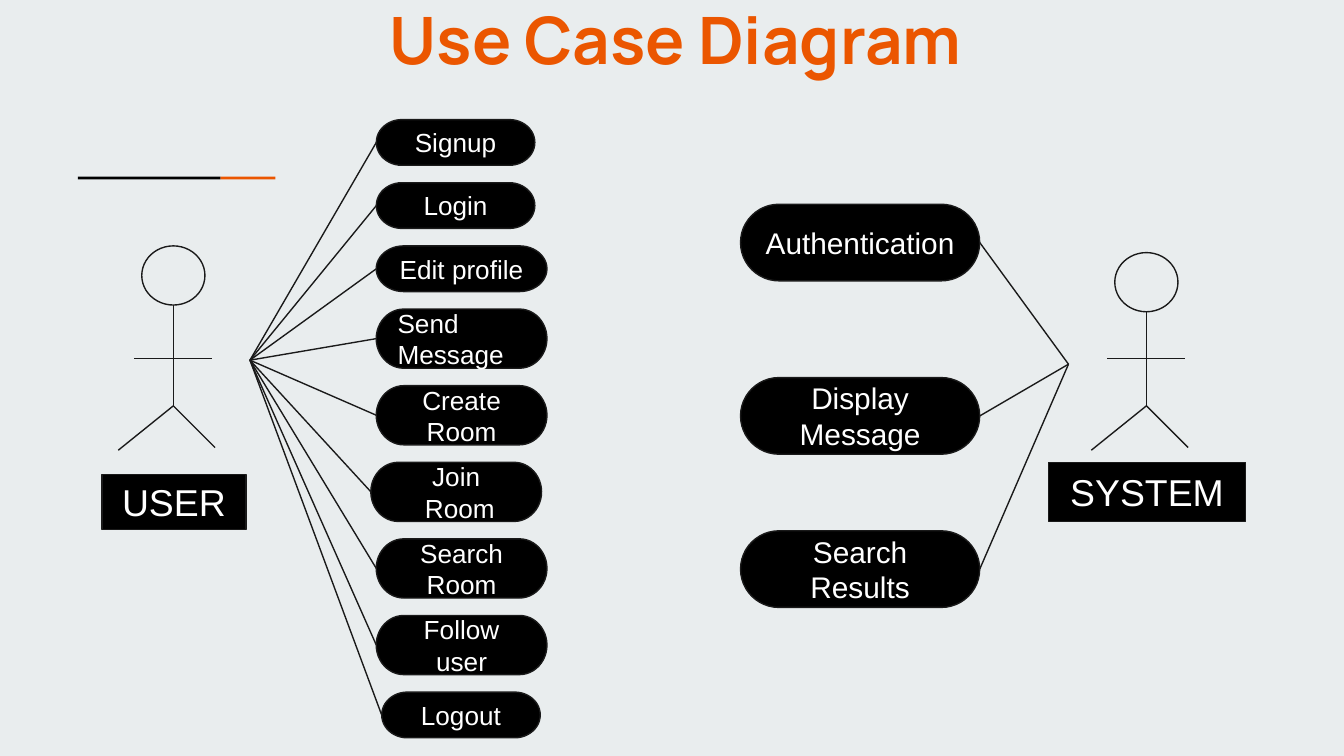
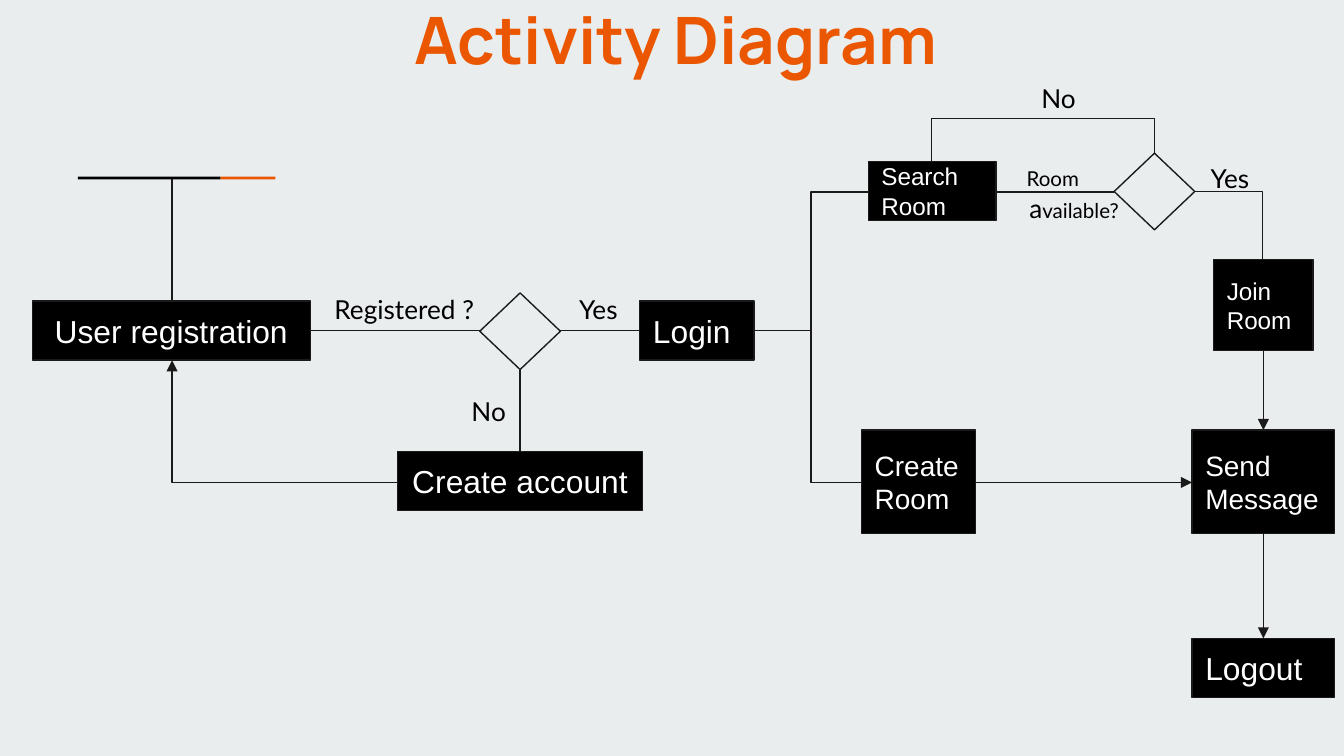
from pptx import Presentation
from pptx.dml.color import RGBColor
from pptx.enum.shapes import MSO_CONNECTOR as LINK, MSO_SHAPE as KIND
from pptx.enum.text import MSO_ANCHOR, PP_ALIGN
from pptx.oxml.ns import qn
from pptx.util import Inches, Pt
from lxml.etree import SubElement

# Grid: 1000 columns across the slide, square cells
WIDE, HIGH = Inches(10), Inches(5.625)
COLS = 1000
INK = {"paper": "E9EDEE", "accent": "EB5600", "black": "000000",
       "edge": "1A1A1A", "white": "FFFFFF"}
PAD = 10


def cells(*counts):
    return [round(n * WIDE / COLS) for n in counts]


def hue(name):
    return RGBColor.from_string(INK[name])


# --- Basic elements ---
def write(shape, paras, size, font, color, align=PP_ALIGN.LEFT,
          anchor=MSO_ANCHOR.MIDDLE, side=PAD, bold=False):
    """Each paragraph is a string or a list of (string, size) runs."""
    frame = shape.text_frame
    frame.word_wrap = True
    frame.vertical_anchor = anchor
    frame.margin_left, frame.margin_right = cells(side, side)
    frame.margin_top, frame.margin_bottom = cells(PAD, PAD)
    for i, runs in enumerate(paras):
        para = frame.paragraphs[0] if i == 0 else frame.add_paragraph()
        para.alignment = align
        for words, points in ([(runs, size)] if isinstance(runs, str) else runs):
            run = para.add_run()
            run.text = words
            run.font.size = Pt(points)
            run.font.name = font
            run.font.bold = bold
            run.font.color.rgb = hue(color)


def block(slide, kind, at, fill, edge="edge"):
    shape = slide.shapes.add_shape(kind, *cells(*at))
    shape.shadow.inherit = False
    shape.fill.solid()
    shape.fill.fore_color.rgb = hue(fill)
    if edge:
        shape.line.color.rgb = hue(edge)
        shape.line.width = Pt(0.75)
    else:
        shape.line.fill.background()
    return shape


def node(slide, at, paras, size, kind=KIND.RECTANGLE, align=PP_ALIGN.LEFT):
    write(block(slide, kind, at, "black"), paras, size, "Arial", "white", align)


def label(slide, at, *runs):
    box = slide.shapes.add_textbox(*cells(*at))
    write(box, [list(runs)], 14, "Lato", "black", anchor=MSO_ANCHOR.TOP)


def link(slide, start, end, arrow=False, kind=LINK.STRAIGHT):
    line = slide.shapes.add_connector(kind, *cells(*start, *end))
    line.line.color.rgb = hue("edge")
    line.line.width = Pt(0.75)
    props = line._element.spPr
    if arrow:
        SubElement(props.find(qn("a:ln")), qn("a:tailEnd"), type="triangle")
    SubElement(props, qn("a:effectLst"))
    return line


def elbow(slide, start, end, bends=2, turn=0, share=None, arrow=False):
    """Bent connector; start and end are the corners before the turn."""
    props = link(slide, start, end, arrow, LINK.ELBOW)._element.spPr
    if turn:
        props.find(qn("a:xfrm")).set("rot", str(turn * 60000))
    shape = props.find(qn("a:prstGeom"))
    shape.set("prst", f"bentConnector{bends + 1}")
    if share is not None:
        guides = shape.find(qn("a:avLst"))
        if guides is None:
            guides = SubElement(shape, qn("a:avLst"))
        SubElement(guides, qn("a:gd"), name="adj1",
                   fmla=f"val {round(share * 100000)}")


# --- Shared frame: background, accent rule, title ---
def page(deck, title):
    slide = deck.slides.add_slide(deck.slide_layouts[6])
    slide.background.fill.solid()
    slide.background.fill.fore_color.rgb = hue("paper")
    for left, width, color in ((164, 41, "accent"), (58, 106, "black")):
        block(slide, KIND.RECTANGLE, (left, 131.5, width, 2), color, None)
    head = block(slide, KIND.RECTANGLE, (0, 0, 1006, 57), "paper", None)
    write(head, [title], 35, "Manrope", "accent", PP_ALIGN.CENTER,
          side=0, bold=True)
    return slide


# --- Use case parts ---
def actor(slide, mid, top, name, at):
    hip = 302
    block(slide, KIND.OVAL, (mid - 23.5, top, 47, 44), "paper")
    link(slide, (mid, top + 44), (mid, hip))
    link(slide, (mid - 29, 267), (mid + 29, 267))
    link(slide, (mid, hip), (mid - 41, hip + 33))
    link(slide, (mid, hip), (mid + 31, hip + 31))
    node(slide, at, [name], 20, align=PP_ALIGN.CENTER)


def cases(deck):
    slide = page(deck, "Use Case Diagram")
    actor(slide, 129, 183, "USER", (76, 353, 107, 41))
    actor(slide, 853, 188, "SYSTEM", (780, 344, 147, 44))

    # User actions stacked with one gap: left, width, height, text
    low, tall, gap, top = 34, 44, 13, 89
    acts = [
        (280, 118, low, ["Signup"]),
        (280, 118, low, ["Login"]),
        (280, 127, low, ["Edit profile"]),
        (280, 127, tall, ["Send Message"]),
        (280, 127, tall, ["Create Room"]),
        (276, 127, tall, ["Join", " Room"]),
        (280, 127, tall, ["Search", "Room"]),
        (280, 127, tall, ["Follow", "user"]),
        (284, 118, low, ["Logout"]),
    ]
    for left, width, height, text in acts:
        align = PP_ALIGN.LEFT if text == ["Send Message"] else PP_ALIGN.CENTER
        node(slide, (left, top, width, height), text, 14,
             KIND.FLOWCHART_TERMINATOR, align)
        link(slide, (186, 268), (left, top + height / 2))
        top += height + gap

    # System actions
    for top, text in ((152, "Authentication"), (281, "Display Message"),
                      (395, "Search Results")):
        node(slide, (551, top, 178, 57), [text], 16,
             KIND.FLOWCHART_TERMINATOR, PP_ALIGN.CENTER)
        link(slide, (729, top + 28.5), (795, 271))


# --- Activity flow ---
def flow(deck):
    slide = page(deck, "Activity Diagram")
    mid = PP_ALIGN.CENTER

    # Steps
    for at, text, size, align in (
        ((24, 224, 207, 44), ["User registration"], 17, mid),
        ((296, 336, 182, 44), ["Create account"], 17, mid),
        ((476, 224, 85, 44), ["Login"], 17, None),
        ((641, 320, 85, 77), ["Create", "Room"], 15, None),
        ((646, 120, 95, 44), ["Search", "Room"], 13, None),
        ((903, 193, 74, 68), ["Join", "Room"], 13, None),
        ((887, 320, 106, 77), ["Send", "Message"], 15, None),
        ((887, 475, 106, 44), ["Logout"], 17, None),
    ):
        node(slide, at, text, size, align=align or PP_ALIGN.LEFT)

    # Decisions
    for left, top in ((357, 218), (829, 114)):
        block(slide, KIND.DIAMOND, (left, top, 60, 57), "paper")

    # Straight links
    for start, end, arrow in (
        ((128, 133), (128, 224), False),
        ((231, 246), (357, 246), False),
        ((417, 246), (476, 246), False),
        ((387, 275), (387, 336), False),
        ((741, 143), (829, 143), False),
        ((940, 261), (940, 320), True),
        ((726, 359), (887, 359), True),
        ((940, 397), (940, 475), True),
    ):
        link(slide, start, end, arrow)

    # Bent links
    elbow(slide, (128, 268), (296, 359), bends=1, turn=180, arrow=True)
    elbow(slide, (561, 246), (646, 143), share=0.5)
    elbow(slide, (561, 246), (641, 359), share=0.53)
    elbow(slide, (773, 34), (779, 200), turn=90, share=-4.33)
    elbow(slide, (940, 143), (889, 193), bends=1, turn=90)

    # Labels
    label(slide, (239, 208, 126, 67), ("Registered ?", 14))
    label(slide, (341, 284, 60, 43), ("No", 14))
    label(slide, (421, 208, 51, 67), ("Yes", 14))
    label(slide, (754, 114, 74, 38), ("Room", 11))
    label(slide, (756, 133, 95, 62), ("a", 14), ("vailable?", 11))
    label(slide, (891, 111, 51, 67), ("Yes", 14))
    label(slide, (765, 51, 51, 43), ("No", 14))


def main():
    deck = Presentation()
    deck.slide_width, deck.slide_height = WIDE, HIGH
    cases(deck)
    flow(deck)
    deck.save("out.pptx")


main()
